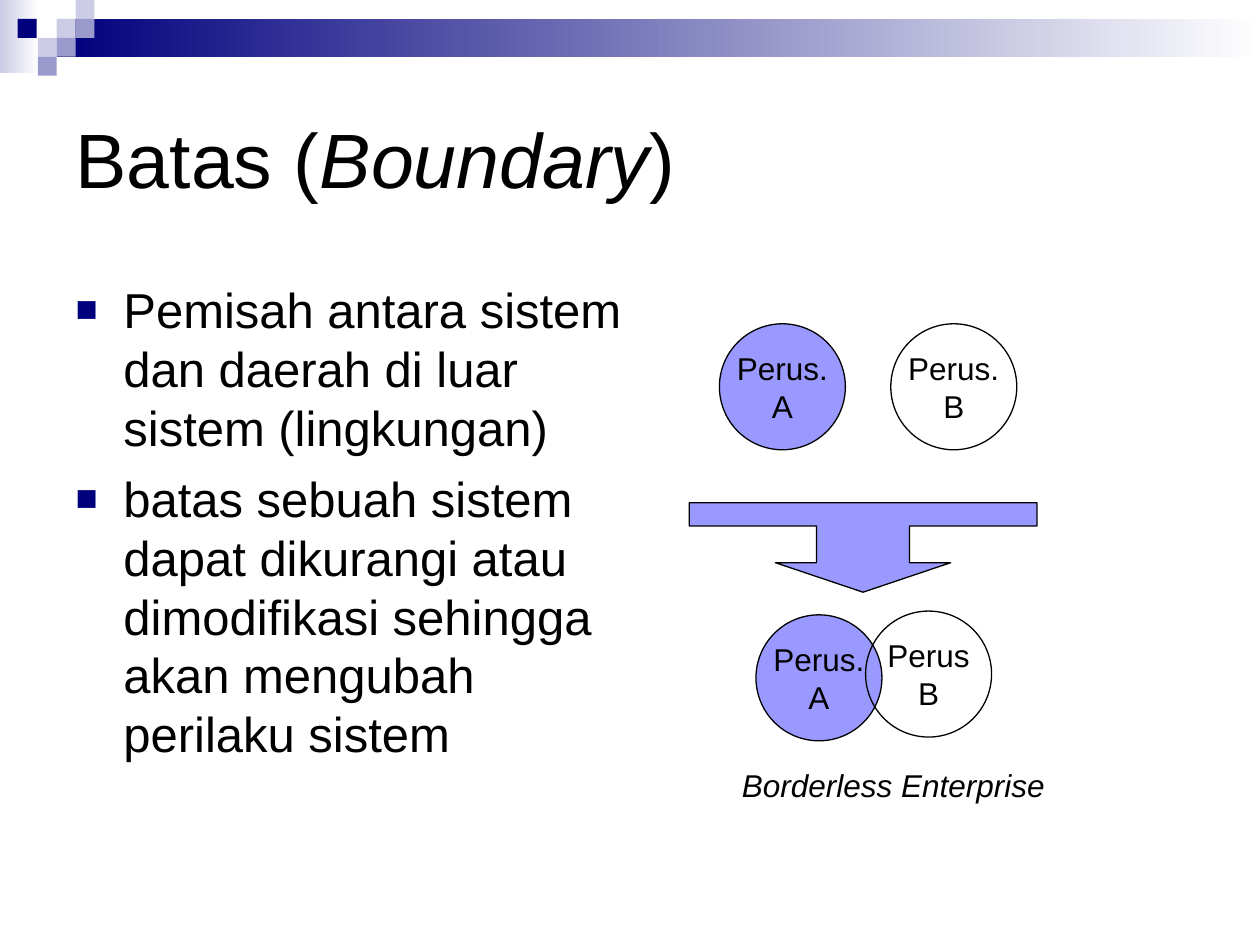
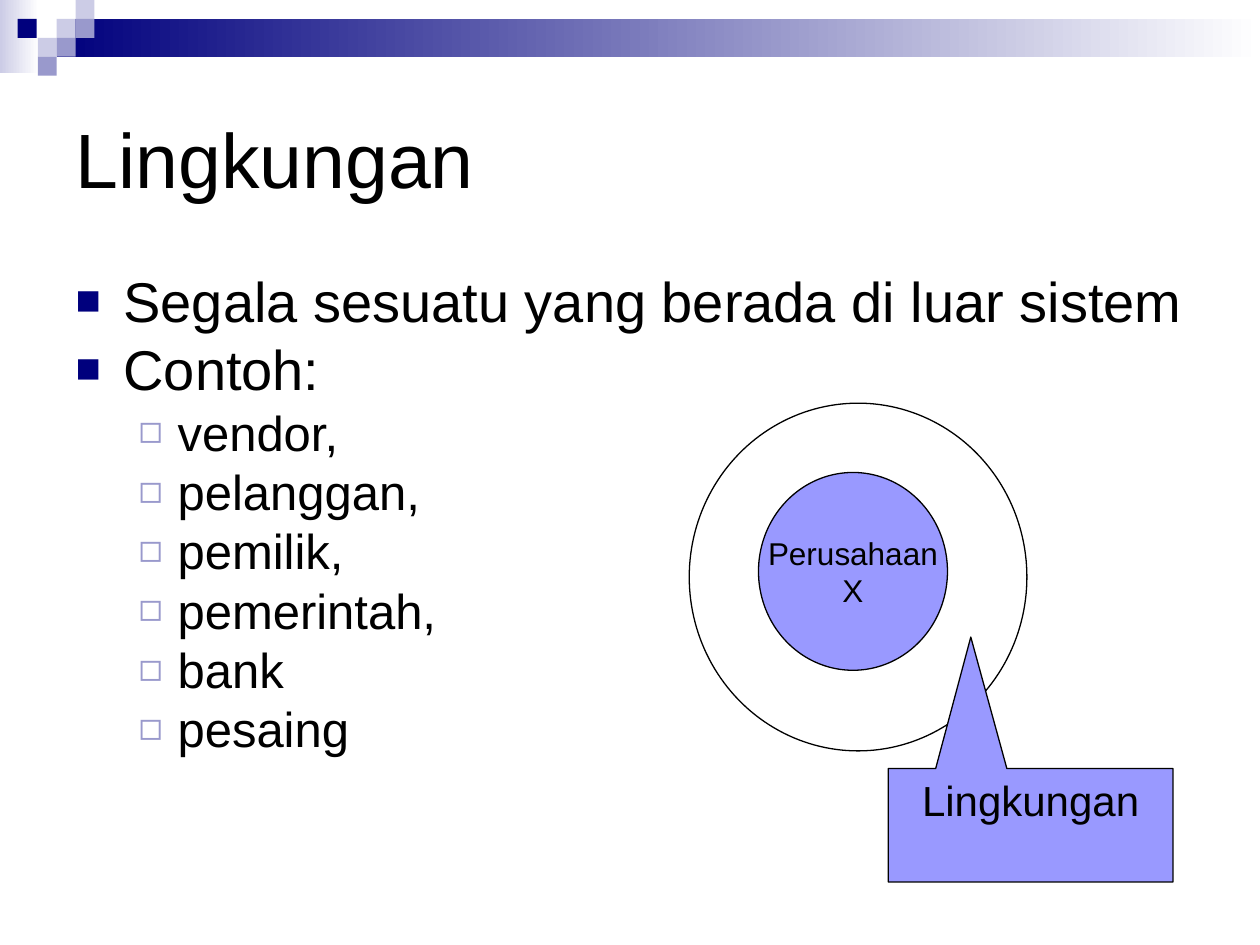
"""Build two slides about system boundary and environment."""
from lxml import etree
from pptx import Presentation
from pptx import util as u
from pptx.dml.color import RGBColor
from pptx.enum import shapes, text
from pptx.oxml.ns import qn

PX = u.Inches(1) // 100
KIND = shapes.MSO_SHAPE
NAVY, PALE, MID = "00007D", "CCCCE6", "9999CC"

THEME = {
    "font": "Arial",
    "ink": "000000",
    "accent": "9999FF",
    "line": 0.75,
    "title": 44,
    "label": 18,
    "callout": 24,
}
BANDS = [((0, 0, 31, 58), PALE), ((45, 15, 955, 30), NAVY)]
SQUARE = 15
SQUARES = [
    (45, 15, PALE), (60, 0, PALE), (60, 15, MID), (30, 30, PALE),
    (14, 15, NAVY), (45, 30, MID), (30, 45, MID),
]
TITLE_BOX = (50, 50, 900, 150)
LEVELS = [
    {"mark": "■", "colour": NAVY, "percent": 75, "indent": (38, -38)},
    {"mark": "◻", "colour": MID, "percent": 80, "indent": (81, -31)},
]

BOUNDARY = {
    "title": [("Batas (", False), ("Boundary", True), (")", False)],
    "box": (50, 217, 466, 425),
    "sizes": (28,),
    "before": (7,),
    "spacing": 1.0,
    "items": [
        (0, "Pemisah antara sistem dan daerah di luar sistem (lingkungan)"),
        (0, "batas sebuah sistem dapat dikurangi atau dimodifikasi sehingga "
            "akan mengubah perilaku sistem"),
    ],
    "figures": [
        {"box": (571, 257, 100, 100), "filled": True, "label": "Perus.\nA"},
        {"box": (707, 257, 100, 100), "label": "Perus.\nB"},
        {"box": (600, 488, 100, 100), "filled": True, "label": "Perus.\nA"},
        {"box": (687, 485, 100, 100), "label": "Perus\nB"},
        {"box": (547, 399, 276, 71), "filled": True,
         "kind": KIND.DOWN_ARROW_CALLOUT, "adjust": (1.04, 0.98, 0.33, 0.26)},
    ],
    "caption": ("Borderless Enterprise", (579, 603, 331, 40)),
}
ENVIRONMENT = {
    "title": [("Lingkungan", False)],
    "box": (50, 217, 900, 425),
    "sizes": (32, 28),
    "before": (8, 7),
    "spacing": 0.8,
    "items": [(0, "Segala sesuatu yang berada di luar sistem"), (0, "Contoh:")]
    + [(1, name) for name in
       ("vendor,", "pelanggan,", "pemilik,", "pemerintah,", "bank", "pesaing")],
    "figures": [
        {"box": (547, 320, 268, 276)},
        {"box": (602, 375, 150, 157), "filled": True, "label": "Perusahaan\nX"},
        {"box": (705, 610, 226, 90), "filled": True, "label": "Lingkungan",
         "kind": KIND.RECTANGULAR_CALLOUT, "adjust": (-0.21, -1.66),
         "size": THEME["callout"], "anchor": text.MSO_ANCHOR.TOP, "wrap": True},
    ],
}


def rgb(colour):
    return RGBColor.from_string(colour)


def assign(target, values):
    for name, value in values.items():
        setattr(target, name, value)


def emu(box):
    return [length * PX for length in box]


def place(shape, box):
    assign(shape, dict(zip(("left", "top", "width", "height"), emu(box))))


def add_run(paragraph, words, size, italic=False):
    run = paragraph.add_run()
    run.text = words
    assign(run.font, {"name": THEME["font"], "size": u.Pt(size), "italic": italic})
    run.font.color.rgb = rgb(THEME["ink"])


def add_bullet(paragraph, style):
    properties = paragraph._p.get_or_add_pPr()
    left, hanging = emu(style["indent"])
    properties.set("marL", str(left))
    properties.set("indent", str(hanging))
    colour = etree.SubElement(properties, qn("a:buClr"))
    etree.SubElement(colour, qn("a:srgbClr"), val=style["colour"])
    etree.SubElement(properties, qn("a:buSzPct"), val=str(style["percent"] * 1000))
    etree.SubElement(properties, qn("a:buFont"), typeface=THEME["font"])
    etree.SubElement(properties, qn("a:buChar"), char=style["mark"])


def add_plain(slide, kind, box):
    shape = slide.shapes.add_shape(kind, *emu(box))
    shape.shadow.inherit = False
    return shape


def decorate(layout, slide):
    parts = []
    for box, colour in BANDS:
        band = add_plain(slide, KIND.RECTANGLE, box)
        band.fill.gradient()
        band.fill.gradient_angle = 0
        for stop, shade, position in zip(band.fill.gradient_stops, (colour, "FFFFFF"), (0, 1)):
            stop.color.rgb = rgb(shade)
            stop.position = position
        parts.append(band)
    for left, top, colour in SQUARES:
        square = add_plain(slide, KIND.RECTANGLE, (left, top, SQUARE, SQUARE))
        square.fill.solid()
        square.fill.fore_color.rgb = rgb(colour)
        parts.append(square)
    for index, shape in enumerate(parts):
        shape.line.fill.background()
        layout.shapes.element.insert(2 + index, shape.element)


def fill_title(title, runs):
    place(title, TITLE_BOX)
    assign(title.text_frame, {"vertical_anchor": text.MSO_ANCHOR.MIDDLE,
                              "auto_size": text.MSO_AUTO_SIZE.NONE})
    paragraph = title.text_frame.paragraphs[0]
    paragraph.alignment = text.PP_ALIGN.LEFT
    for words, italic in runs:
        add_run(paragraph, words, THEME["title"], italic)


def fill_body(body, content):
    place(body, content["box"])
    frame = body.text_frame
    frame.auto_size = text.MSO_AUTO_SIZE.NONE
    for index, (level, words) in enumerate(content["items"]):
        paragraph = frame.add_paragraph() if index else frame.paragraphs[0]
        add_bullet(paragraph, LEVELS[level])
        assign(paragraph, {
            "level": level,
            "line_spacing": content["spacing"],
            "space_before": u.Pt(content["before"][level] if index else 0),
        })
        add_run(paragraph, words, content["sizes"][level])


def add_figure(slide, figure):
    shape = add_plain(slide, figure.get("kind", KIND.OVAL), figure["box"])
    for index, value in enumerate(figure.get("adjust", ())):
        shape.adjustments[index] = value
    if figure.get("filled"):
        shape.fill.solid()
        shape.fill.fore_color.rgb = rgb(THEME["accent"])
    else:
        shape.fill.background()
    shape.line.color.rgb = rgb(THEME["ink"])
    shape.line.width = u.Pt(THEME["line"])
    frame = shape.text_frame
    assign(frame, {"word_wrap": figure.get("wrap", False),
                   "vertical_anchor": figure.get("anchor", text.MSO_ANCHOR.MIDDLE)})
    for index, words in enumerate(figure.get("label", "").splitlines()):
        paragraph = frame.add_paragraph() if index else frame.paragraphs[0]
        paragraph.alignment = text.PP_ALIGN.CENTER
        add_run(paragraph, words, figure.get("size", THEME["label"]))


def add_caption(slide, words, box):
    frame = slide.shapes.add_textbox(*emu(box)).text_frame
    assign(frame, {"word_wrap": True, "auto_size": text.MSO_AUTO_SIZE.SHAPE_TO_FIT_TEXT})
    add_run(frame.paragraphs[0], words, THEME["label"], italic=True)


def main():
    presentation = Presentation()
    assign(presentation, {"slide_width": 1000 * PX, "slide_height": 750 * PX})
    layout = presentation.slide_layouts[1]
    for index, content in enumerate((BOUNDARY, ENVIRONMENT)):
        slide = presentation.slides.add_slide(layout)
        if index == 0:
            decorate(layout, slide)
        fill_title(slide.shapes.title, content["title"])
        fill_body(slide.placeholders[1], content)
        for figure in content["figures"]:
            add_figure(slide, figure)
        if "caption" in content:
            add_caption(slide, *content["caption"])
    presentation.save("out.pptx")


if __name__ == "__main__":
    main()
